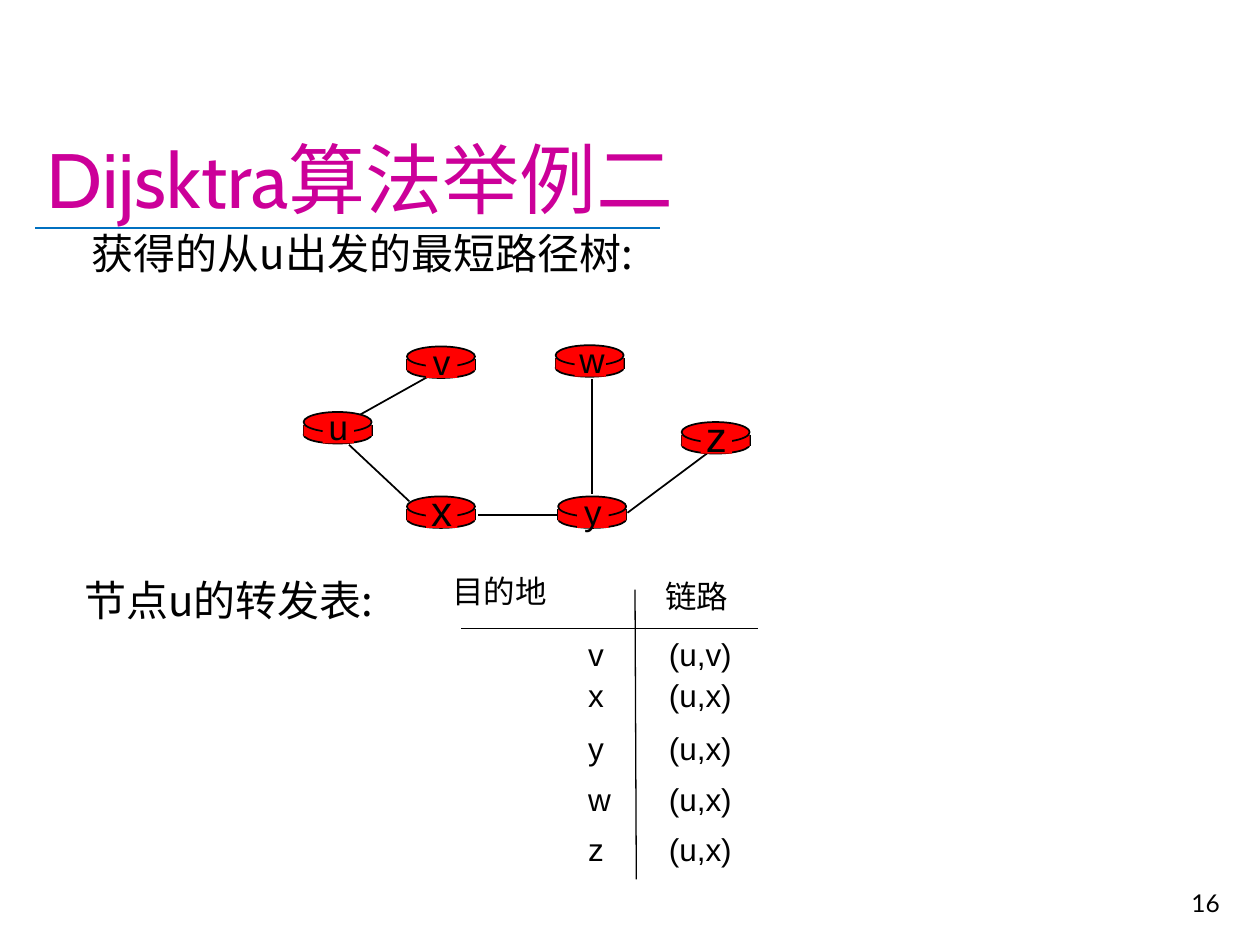
from pptx import Presentation
from pptx.dml.color import RGBColor
from pptx.enum.shapes import MSO_CONNECTOR, MSO_SHAPE
from pptx.enum.text import MSO_ANCHOR, PP_ALIGN
from pptx.oxml.ns import qn
from pptx.util import Inches, Pt
from lxml.etree import SubElement

INK, RED, PINK, BLUE = "000000", "FF0000", "CC0099", "0070C0"
LATIN, HAN = "Arial", "Noto Sans CJK SC"
COLS, ROWS = 100, 75


def color(code):
    return RGBColor.from_string(code)


class Board:
    """Style and current slide; places are columns and rows of the grid."""

    def __init__(self, deck):
        self.slide = deck.slides.add_slide(deck.slide_layouts[5])
        self.shapes = self.slide.shapes
        self.col = deck.slide_width / COLS
        self.row = deck.slide_height / ROWS

    def spot(self, x, y):
        return round(x * self.col), round(y * self.row)

    def style(self, frame, text, size, font, ink=INK, align=PP_ALIGN.LEFT):
        frame.text = text
        para = frame.paragraphs[0]
        para.alignment = align
        run = para.runs[0]
        run.font.size = Pt(size)
        run.font.name = font
        run.font.color.rgb = color(ink)
        SubElement(run.font._element, qn("a:ea")).set("typeface", HAN)

    def title(self, text, x, y, w, h):
        box = self.shapes.title
        box.left, box.top = self.spot(x, y)
        box.width, box.height = self.spot(w, h)
        box.text_frame.vertical_anchor = MSO_ANCHOR.BOTTOM
        self.style(box.text_frame, text, 44, "Cabin", PINK)

    def text(self, text, x, y, w, h, size, font=LATIN, align=PP_ALIGN.LEFT,
             wrap=False, anchor=MSO_ANCHOR.TOP):
        box = self.shapes.add_textbox(*self.spot(x, y), *self.spot(w, h))
        box.text_frame.word_wrap = wrap
        box.text_frame.vertical_anchor = anchor
        self.style(box.text_frame, text, size, font, align=align)

    def line(self, x1, y1, x2, y2, width=1, ink=INK):
        line = self.shapes.add_connector(
            MSO_CONNECTOR.STRAIGHT, *self.spot(x1, y1), *self.spot(x2, y2))
        line.line.width = Pt(width)
        line.line.color.rgb = color(ink)
        SubElement(line._element.spPr, qn("a:effectLst"))

    def shape(self, kind, x, y, w, h, edge=False):
        shape = self.shapes.add_shape(kind, *self.spot(x, y), *self.spot(w, h))
        shape.shadow.inherit = False
        shape.fill.solid()
        shape.fill.fore_color.rgb = color(RED)
        if edge:
            shape.line.width = Pt(1)
            shape.line.color.rgb = color(INK)
        else:
            shape.line.fill.background()

    def router(self, name, x, y, size):
        wide = 5.4
        # Drum: base, sides, body, lid
        self.shape(MSO_SHAPE.OVAL, x, y + 0.1, wide, 1.4, edge=True)
        for side in (x, x + wide):
            self.line(side, y, side, y + 0.9)
        self.shape(MSO_SHAPE.RECTANGLE, x, y, wide, 0.9)
        self.shape(MSO_SHAPE.OVAL, x, y - 1, wide, 1.6, edge=True)
        # Label on a plain patch
        self.shape(MSO_SHAPE.RECTANGLE, x + 1.5, y - 0.8, 2.5, 2.3)
        high = size * 0.21
        self.text(name, x + 0.9, y + 0.1 - high / 2, 3.7, high, size,
                  align=PP_ALIGN.CENTER)


def main():
    deck = Presentation()
    deck.slide_width, deck.slide_height = Inches(10), Inches(7.5)
    board = Board(deck)

    # Heading
    board.title("Dijsktra算法举例二", 2.7, 2.3, 95.1, 16)
    board.line(2.8, 18.1, 52.4, 18.1, 1.25, BLUE)
    board.text("获得的从u出发的最短路径树:", 6.3, 17.6, 45.8, 5, 24, HAN)

    # Shortest path tree: links, then routers
    for link in [(28.6, 32.9, 34.5, 29.6), (47, 30.1, 47, 39.2),
                 (49.8, 40.7, 56.1, 36), (44.3, 40.9, 37.9, 40.9),
                 (32.5, 39.8, 27.7, 35.3)]:
        board.line(*link)
    for node in [("u", 24.1, 33.7, 20), ("x", 32.3, 40.4, 24),
                 ("v", 32.3, 28.5, 20), ("w", 44.1, 28.4, 20),
                 ("y", 44.3, 40.4, 20), ("z", 54.1, 34.5, 24)]:
        board.router(*node)

    # Forwarding table of u
    board.text("节点u的转发表:", 5.7, 45.1, 25.6, 5, 24, HAN, wrap=True)
    board.line(50.4, 46.8, 50.5, 69.8, 0.75)
    board.line(36.6, 49.9, 60.2, 49.9, 0.75)
    board.text("目的地", 34.9, 44.9, 9.6, 4, 18, HAN)
    board.text("链路", 51.8, 45.3, 7.1, 4, 18, HAN)
    for goal, link, y in [("v", "(u,v)", 49.9), ("x", "(u,x)", 53.2),
                          ("y", "(u,x)", 57.4), ("w", "(u,x)", 61.4),
                          ("z", "(u,x)", 65.4)]:
        board.text(goal, 45.7, y, 3.3, 4, 18)
        board.text(link, 52.1, y, 7, 4, 18)

    # Slide number
    board.text("16", 77, 68.3, 20.8, 5, 14, "Lato", PP_ALIGN.RIGHT,
               wrap=True, anchor=MSO_ANCHOR.BOTTOM)
    deck.save("out.pptx")


if __name__ == "__main__":
    main()
